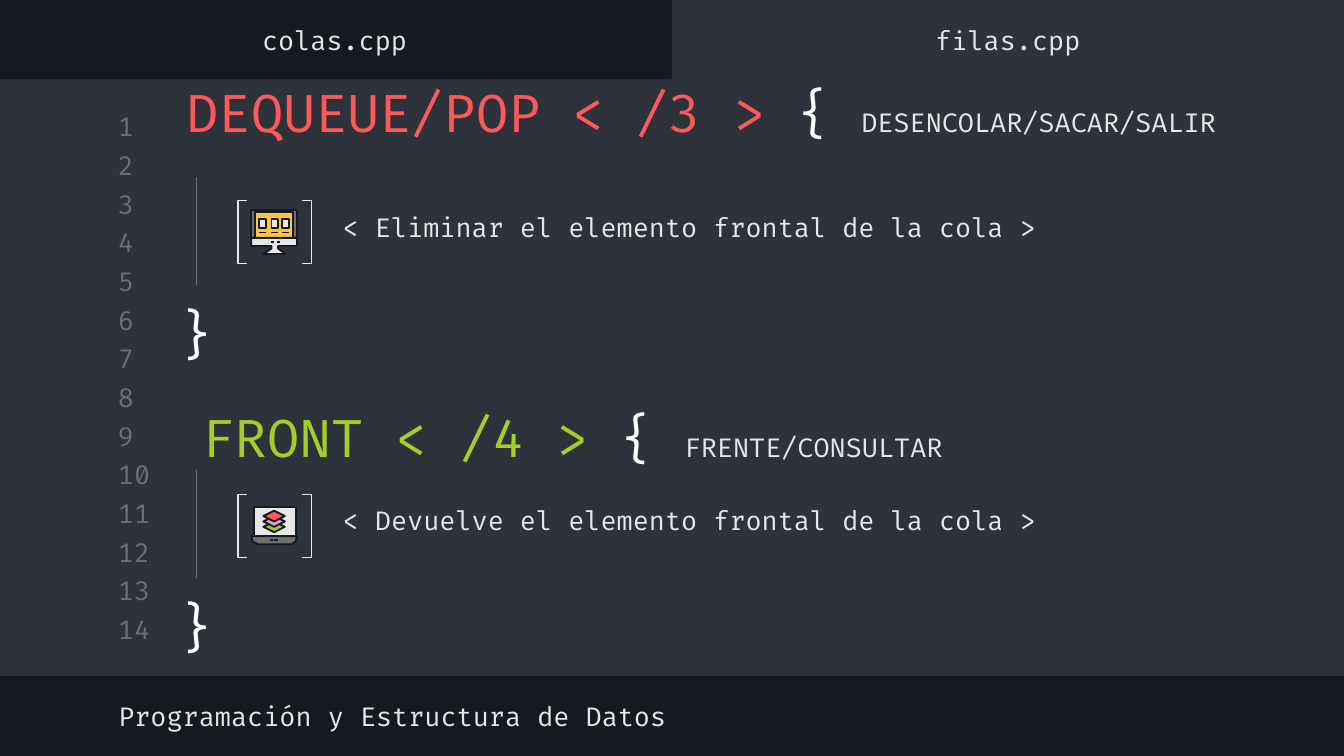
from pptx import Presentation, util as u
from pptx.dml.color import RGBColor
from pptx.enum import shapes, text
from pptx.oxml.ns import qn
from lxml import etree


class Theme:
    font = "Fira Code"
    big, small = 28, 14
    thin, stroke = 0.75, 1
    dark, panel = "16191F", "2E323B"
    light, white, gray = "E7E7E7", "FFFFFF", "707070"
    red, green, pink, gold = "FF5858", "A5CF27", "DBA0DB", "FCC642"


LEFT, MID = text.PP_ALIGN.LEFT, text.PP_ALIGN.CENTER


def write(shape, box, parts, align=LEFT, anchor=text.MSO_ANCHOR.MIDDLE):
    """Place a text shape and fill it with (words, size, color) parts."""
    shape.left, shape.top, shape.width, shape.height = map(u.Inches, box)
    frame = shape.text_frame
    frame.word_wrap = True
    frame.auto_size = text.MSO_AUTO_SIZE.NONE
    frame.vertical_anchor = anchor
    frame.margin_left = frame.margin_right = u.Inches(0.1)
    frame.margin_top = frame.margin_bottom = u.Inches(0.1)
    para = frame.paragraphs[0]
    para.alignment = align
    para.space_before = u.Pt(0)
    props = para._p.get_or_add_pPr()
    props.set("marL", "0")
    props.set("indent", "0")
    etree.SubElement(props, qn("a:buNone"))
    for words, size, color in parts:
        run = para.add_run()
        run.text = words
        run.font.name, run.font.size, run.font.bold = Theme.font, u.Pt(size), False
        run.font.color.rgb = RGBColor.from_string(color)


def poly(points, color):
    """Draw an outlined icon part from points in hundredths of an inch."""
    path = slide.shapes.build_freeform(*points[0], scale=u.Inches(0.01))
    path.add_line_segments(points[1:], close=True)
    part = path.convert_to_shape()
    part.shadow.inherit = False
    part.fill.solid()
    part.fill.fore_color.rgb = RGBColor.from_string(color)
    part.line.color.rgb = RGBColor.from_string(Theme.dark)
    part.line.width = u.Pt(Theme.stroke)


# Wide 16:9 slide
deck = Presentation()
deck.slide_width = u.Inches(10)
deck.slide_height = u.Inches(10) * 9 // 16
slide = deck.slides.add_slide(deck.slide_layouts[4])
slide.background.fill.solid()
slide.background.fill.fore_color.rgb = RGBColor.from_string(Theme.dark)
title, *bodies = slide.placeholders

# Editor panel and active tab, sent behind the placeholders
for box in [(0, 0.59, 10, 4.44), (5, 0, 5, 0.65)]:
    panel = slide.shapes.add_shape(shapes.MSO_SHAPE.RECTANGLE, *map(u.Inches, box))
    panel.shadow.inherit = False
    panel.fill.solid()
    panel.fill.fore_color.rgb = RGBColor.from_string(Theme.panel)
    panel.line.fill.background()
    title._element.addprevious(panel._element)

# Line numbers
for i in range(14):
    label = slide.shapes.add_textbox(0, 0, 0, 0)
    write(label, (0.78, 0.82 + 3.74 * i / 13, 0.47, 0.24),
          [(str(i + 1), Theme.small, Theme.gray)])

# Headings
heads = [
    (title, (1.29, 0.54, 8.46, 0.58), "DEQUEUE/POP < /3 > ", Theme.red,
     "DESENCOLAR/SACAR/SALIR"),
    (bodies[0], (1.41, 2.96, 8.53, 0.58), "FRONT < /4 > ", Theme.green,
     "FRENTE/CONSULTAR"),
]
for shape, box, name, color, note in heads:
    write(shape, box, [(name, Theme.big, color), ("{ ", Theme.big, Theme.white),
                       (note, Theme.small, Theme.light)])

# Descriptions and footer
lines = [
    ((2.45, 1.26, 5.62, 0.86), "< Eliminar el elemento frontal de la cola >"),
    ((2.45, 3.44, 5.62, 0.86), "< Devuelve el elemento frontal de la cola >"),
    ((0.78, 5.13, 5.32, 0.39), "Programación y Estructura de Datos"),
]
for shape, (box, words) in zip(bodies[1:], lines):
    write(shape, box, [(words, Theme.small, Theme.light)])

# Tab names
for x, name in [(-0.01, "colas.cpp"), (5, "filas.cpp")]:
    tab = slide.shapes.add_textbox(0, 0, 0, 0)
    write(tab, (x, 0.1, 5, 0.39), [(name, Theme.small, Theme.light)], MID)

# Monitor icon
poly([(187, 156), (221, 156), (221, 177), (187, 177)], Theme.gray)
poly([(190, 158), (218, 158), (218, 177), (190, 177)], Theme.gold)
poly([(187, 177), (221, 177), (221, 183), (207, 183), (207, 185), (210, 187),
      (212, 189), (196, 189), (199, 187), (202, 185), (202, 183), (187, 183)],
     Theme.light)
panes = (193, 202, 210)
for x in panes:
    poly([(x, 163), (x + 5, 163), (x + 5, 170), (x, 170)], Theme.light)

# Laptop icon
poly([(189, 377), (220, 377), (220, 399), (189, 399)], Theme.light)
poly([(187, 399), (221, 399), (220, 403), (217, 405), (192, 405), (188, 403)],
     Theme.gray)
for y, color in [(392, Theme.green), (388, Theme.pink), (384, Theme.red)]:
    poly([(204, y - 4), (212, y), (204, y + 4), (196, y)], color)

# Icon strokes and block guides: ends, color, width
marks = [(x / 100, 1.73, x / 100 + 0.05, 1.73) for x in panes]
marks += [(2.02, 1.8, 2.04, 1.8), (2.06, 1.8, 2.08, 1.8),
          (2.01, 4.02, 2.03, 4.02), (2.04, 4.02, 2.07, 4.02)]
strokes = [(mark, Theme.dark, Theme.stroke) for mark in marks]
strokes += [((1.46, y, 1.46, y + 0.8), Theme.gray, Theme.thin) for y in (1.32, 3.5)]
for ends, color, width in strokes:
    line = slide.shapes.add_connector(shapes.MSO_CONNECTOR.STRAIGHT,
                                      *map(u.Inches, ends))
    line.line.color.rgb = RGBColor.from_string(color)
    line.line.width = u.Pt(width)
    etree.SubElement(line._element.spPr, qn("a:effectLst"))

# Icon brackets and closing braces
for top, end in [(1.49, 2.14), (3.68, 4.32)]:
    for x, kind in [(1.77, shapes.MSO_SHAPE.LEFT_BRACKET),
                    (2.25, shapes.MSO_SHAPE.RIGHT_BRACKET)]:
        edge = slide.shapes.add_shape(kind, u.Inches(x), u.Inches(top),
                                      u.Inches(0.07), u.Inches(0.47))
        edge.adjustments[0] = 0
        edge.shadow.inherit = False
        edge.fill.background()
        edge.line.color.rgb = RGBColor.from_string(Theme.light)
        edge.line.width = u.Pt(Theme.thin)
    brace = slide.shapes.add_textbox(0, 0, 0, 0)
    write(brace, (1.19, end, 0.55, 0.67), [("}", Theme.big, Theme.white)],
          MID, text.MSO_ANCHOR.TOP)

deck.save("out.pptx")
